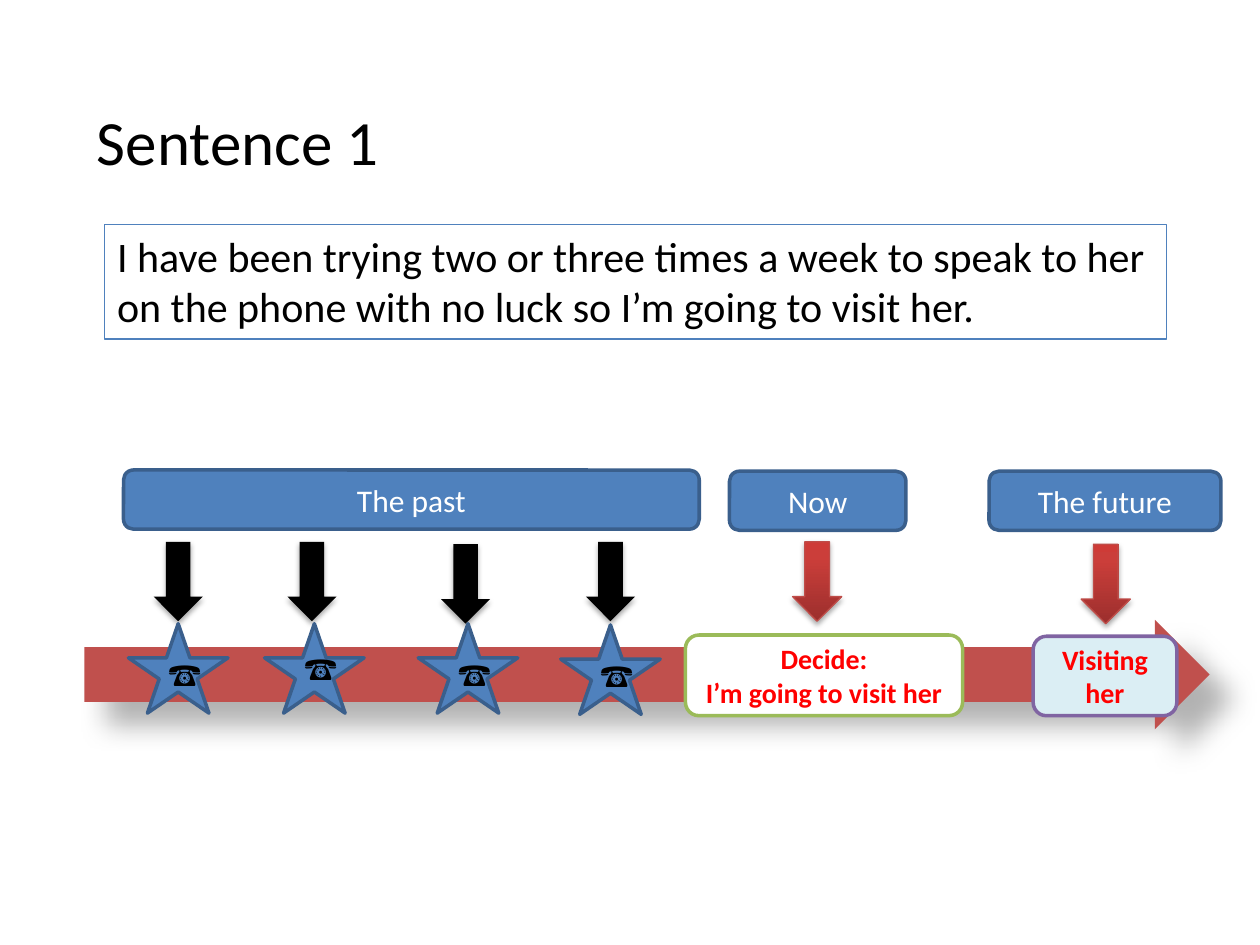
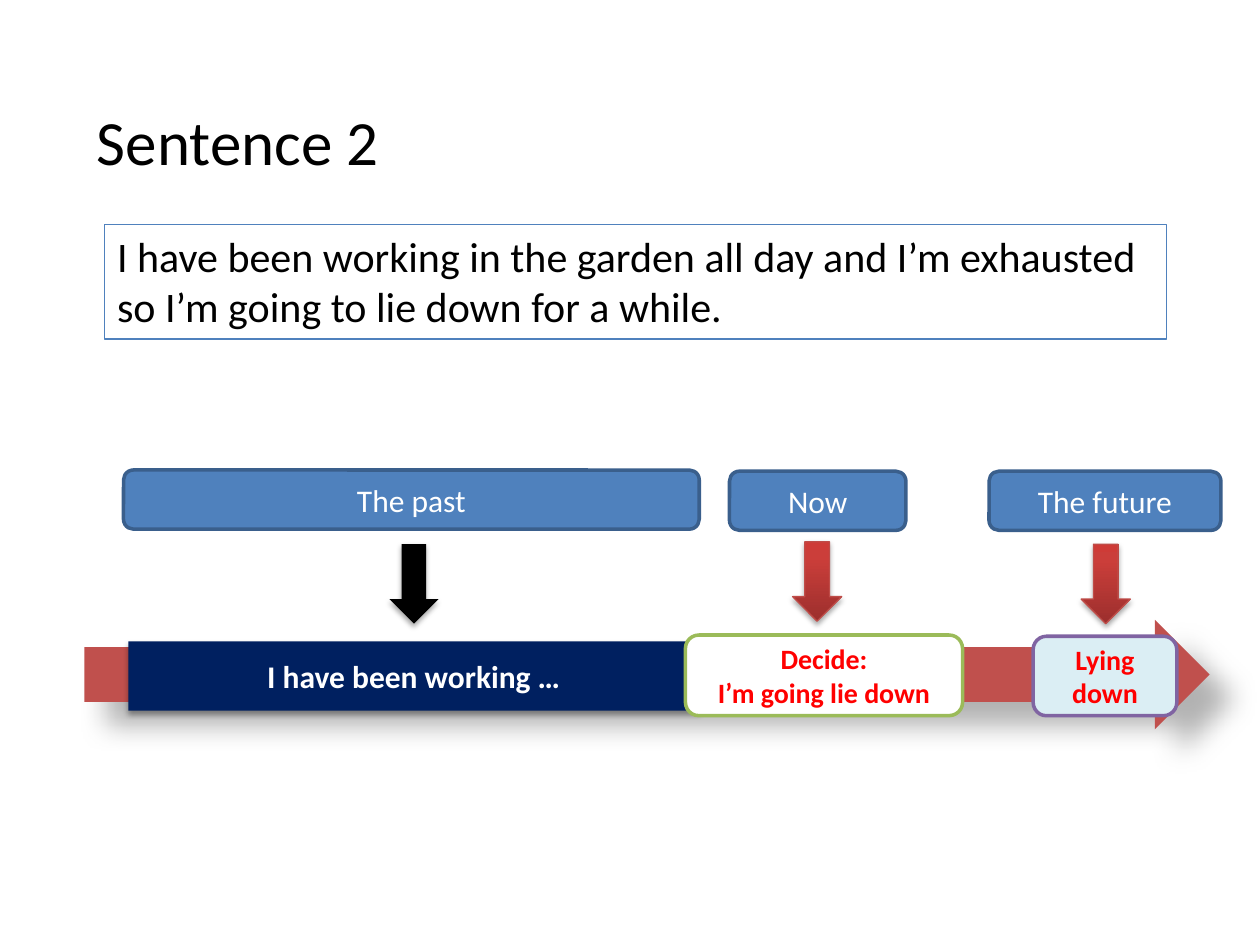
from copy import deepcopy
from dataclasses import dataclass, field
from typing import Optional

from lxml import etree
from pptx import Presentation
from pptx.dml.color import RGBColor
from pptx.enum.shapes import MSO_SHAPE
from pptx.enum.text import MSO_ANCHOR, MSO_AUTO_SIZE, PP_ALIGN
from pptx.oxml.ns import qn
from pptx.util import Pt

RECTANGLE = MSO_SHAPE.RECTANGLE
ROUNDED = MSO_SHAPE.ROUNDED_RECTANGLE
RIGHT_ARROW = MSO_SHAPE.RIGHT_ARROW
DOWN_ARROW = MSO_SHAPE.DOWN_ARROW
STAR = MSO_SHAPE.STAR_5_POINT
TOP, MIDDLE = MSO_ANCHOR.TOP, MSO_ANCHOR.MIDDLE
LEFT, CENTER = PP_ALIGN.LEFT, PP_ALIGN.CENTER
NO_FIT = MSO_AUTO_SIZE.NONE
TITLE_ONLY = 5


@dataclass(frozen=True)
class Theme:
    font: str = "Calibri"
    black: str = "000000"
    white: str = "FFFFFF"
    blue: str = "4F81BD"
    blue_edge: str = "3A5F8C"
    navy: str = "002060"
    red: str = "C0504D"
    red_edge: str = "BF4C48"
    red_text: str = "FF0000"
    green: str = "9BBB59"
    purple: str = "8064A2"
    pale: str = "DBEEF4"
    red_stops: tuple = ((0, "9C2F2D"), (0.8, "CB3E3A"), (1, "CE3B37"))
    title_size: float = 36
    sentence_size: float = 24
    label_size: float = 18
    event_size: float = 16
    thin: float = 0.75
    thick: float = 2


THEME = Theme()


@dataclass(frozen=True)
class Box:
    left: float
    top: float
    width: float
    height: float

    def lengths(self) -> tuple:
        return tuple(Pt(v) for v in (self.left, self.top, self.width, self.height))


@dataclass(frozen=True)
class Shadow:
    alpha: int
    blur: float
    distance: float
    angle: int


@dataclass(frozen=True)
class Look:
    fill: Optional[str] = None
    line: Optional[str] = None
    weight: float = THEME.thick
    shadow: Optional[Shadow] = None
    stops: tuple = ()


@dataclass(frozen=True)
class TextStyle:
    size: float
    color: str
    bold: bool = False
    align: int = CENTER
    anchor: int = MIDDLE


@dataclass(frozen=True)
class Call:
    star_left: float
    star_top: float
    arrow_left: float
    arrow_top: float
    phone_top: float


@dataclass(frozen=True)
class Sentence:
    title: str
    text: str
    decision: str
    plan: str
    calls: list = field(default_factory=list)
    activity: str = ""


SOFT = Shadow(35, 3.1, 1.8, 90)
DEEP = Shadow(30, 15, 18, 45)

FRAME = Look(line=THEME.blue, weight=THEME.thin)
TIMELINE = Look(fill=THEME.red, shadow=DEEP)
BLUE = Look(fill=THEME.blue, line=THEME.blue_edge)
PAST_ARROW = Look(fill=THEME.black, shadow=SOFT)
RED_ARROW = Look(line=THEME.red_edge, weight=THEME.thin, shadow=SOFT,
                 stops=THEME.red_stops)
ACTIVITY = Look(fill=THEME.navy, shadow=SOFT)
DECISION = Look(fill=THEME.white, line=THEME.green)
PLAN = Look(fill=THEME.pale, line=THEME.purple)

TITLE_TEXT = TextStyle(THEME.title_size, THEME.black, align=LEFT, anchor=TOP)
SENTENCE_TEXT = TextStyle(THEME.sentence_size, THEME.black, align=LEFT, anchor=TOP)
LABEL_TEXT = TextStyle(THEME.label_size, THEME.white)
ACTIVITY_TEXT = TextStyle(THEME.label_size, THEME.white, bold=True)
PHONE_TEXT = TextStyle(THEME.label_size, THEME.black, anchor=TOP)
EVENT_TEXT = TextStyle(THEME.event_size, THEME.red_text, bold=True)

PERIODS = {
    "The past": Box(70.6, 268.6, 329, 33.8),
    "The future": Box(565.2, 269.3, 132.5, 33.8),
    "Now": Box(416.9, 269.3, 100.8, 33.8),
}

SENTENCES = [
    Sentence(
        "Sentence 1",
        "I have been trying two or three times a week to speak to her "
        "on the phone with no luck so I’m going to visit her.",
        "Decide:\vI’m going to visit her",
        "Visiting her",
        calls=[
            Call(73.4, 356.4, 87.8, 309.6, 370.8),
            Call(151.2, 356.4, 164.2, 309.6, 367.2),
            Call(239, 356.4, 252, 311, 370.8),
            Call(320.4, 357.1, 334.8, 309.6, 371.5),
        ],
    ),
    Sentence(
        "Sentence 2",
        "I have been working in the garden all day and I’m exhausted "
        "so I’m going to lie down for a while.",
        "Decide:\vI’m going lie down",
        "Lying down",
        activity="I have been working …",
    ),
]


def set_values(target, values: dict) -> None:
    for name, value in values.items():
        setattr(target, name, value)


def write(shape, text: str, style: TextStyle) -> None:
    frame = shape.text_frame
    set_values(frame, {"word_wrap": True, "auto_size": NO_FIT,
                       "vertical_anchor": style.anchor})
    para = frame.paragraphs[0]
    para.text = text
    para.alignment = style.align
    for span in para.runs:
        set_values(span.font, {"name": THEME.font, "size": Pt(style.size),
                               "bold": style.bold})
        span.font.color.rgb = RGBColor.from_string(style.color)
    for line_break in para._p.findall(qn("a:br")):
        line_break.append(deepcopy(para.runs[0]._r.rPr))


def paint_gradient(shape, stops: tuple) -> None:
    shape.fill.gradient()
    shape.fill.gradient_angle = 90
    stop_list = shape.element.spPr.find(qn("a:gradFill")).find(qn("a:gsLst"))
    stop_list.insert(1, deepcopy(stop_list[0]))
    for stop, (position, color) in zip(shape.fill.gradient_stops, stops):
        stop.position = position
        stop.color.rgb = RGBColor.from_string(color)


def cast_shadow(shape, shadow: Shadow) -> None:
    effects = shape.element.spPr.find(qn("a:effectLst"))
    outer = etree.SubElement(effects, qn("a:outerShdw"), {
        "blurRad": str(Pt(shadow.blur)), "dist": str(Pt(shadow.distance)),
        "dir": str(shadow.angle * 60000), "algn": "ctr", "rotWithShape": "0"})
    color = etree.SubElement(outer, qn("a:srgbClr"), val=THEME.black)
    etree.SubElement(color, qn("a:alpha"), val=str(shadow.alpha * 1000))


def draw(page, kind, box: Box, look: Look, text: str = "",
         style: TextStyle = LABEL_TEXT) -> None:
    shape = page.shapes.add_shape(kind, *box.lengths())
    shape.shadow.inherit = False
    if look.stops:
        paint_gradient(shape, look.stops)
    elif look.fill:
        shape.fill.solid()
        shape.fill.fore_color.rgb = RGBColor.from_string(look.fill)
    else:
        shape.fill.background()
    if look.line:
        shape.line.color.rgb = RGBColor.from_string(look.line)
        shape.line.width = Pt(look.weight)
    else:
        shape.line.fill.background()
    if look.shadow:
        cast_shadow(shape, look.shadow)
    if text:
        write(shape, text, style)


def draw_down_arrow(page, left: float, top: float, look: Look) -> None:
    draw(page, DOWN_ARROW, Box(left, top, 28.1, 45.4), look)


def draw_call(page, call: Call) -> None:
    draw_down_arrow(page, call.arrow_left, call.arrow_top, PAST_ARROW)
    draw(page, STAR, Box(call.star_left, call.star_top, 56.9, 51.1), BLUE)
    phone_box = Box(call.star_left + 15.8, call.phone_top, 25.2, 28.8)
    phone = page.shapes.add_textbox(*phone_box.lengths())
    write(phone, "☎", PHONE_TEXT)


def draw_title(page, text: str) -> None:
    left, top, width, height = Box(48.2, 54.7, 232.6, 51.1).lengths()
    title = page.shapes.title
    set_values(title, {"left": left, "top": top, "width": width, "height": height})
    write(title, text, TITLE_TEXT)


def build_page(deck, sentence: Sentence) -> None:
    page = deck.slides.add_slide(deck.slide_layouts[TITLE_ONLY])
    draw_title(page, sentence.title)
    draw(page, RECTANGLE, Box(59.8, 128.2, 607, 65.5), FRAME,
         sentence.text, SENTENCE_TEXT)
    draw(page, RIGHT_ARROW, Box(48.2, 354.2, 643, 62.6), TIMELINE)
    for label, box in PERIODS.items():
        draw(page, ROUNDED, box, BLUE, label)
    draw_down_arrow(page, 452.9, 309.6, RED_ARROW)
    draw_down_arrow(page, 617.8, 311, RED_ARROW)
    for call in sentence.calls:
        draw_call(page, call)
    if sentence.activity:
        draw_down_arrow(page, 222.5, 311, PAST_ARROW)
        draw(page, RECTANGLE, Box(73.4, 366.5, 326.2, 39.6), ACTIVITY,
             sentence.activity, ACTIVITY_TEXT)
    draw(page, ROUNDED, Box(391.7, 362.9, 158.4, 46.1), DECISION,
         sentence.decision, EVENT_TEXT)
    draw(page, ROUNDED, Box(590.4, 363.6, 82.1, 45.4), PLAN,
         sentence.plan, EVENT_TEXT)


def main() -> None:
    deck = Presentation()
    set_values(deck, {"slide_width": Pt(720), "slide_height": Pt(540)})
    for sentence in SENTENCES:
        build_page(deck, sentence)
    deck.save("out.pptx")


main()
